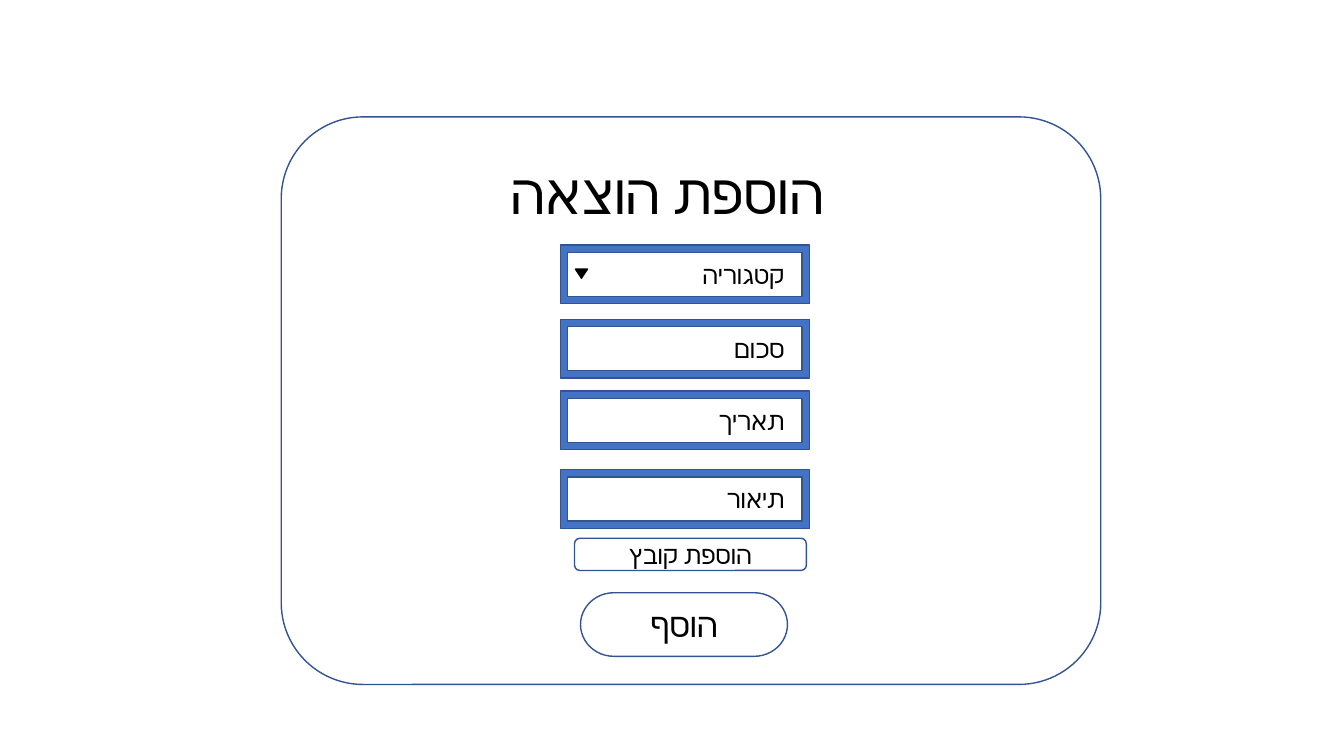
from lxml.etree import SubElement
from pptx import Presentation
from pptx.dml.color import RGBColor
from pptx.enum.shapes import MSO_SHAPE as SHAPE
from pptx.enum.text import MSO_ANCHOR as ANCHOR, MSO_AUTO_SIZE as AUTO, PP_ALIGN as ALIGN
from pptx.oxml.ns import qn
from pptx.util import Pt

FONT = "Calibri"
COLORS = {"white": "FFFFFF", "black": "000000", "frame": "4472C4", "outline": "325491"}
FIELD_LEFT, FIELD_WIDTH, FIELD_HEIGHT = 400.3, 177.8, 41.8
FIELDS = [("קטגוריה", 175), ("סכום", 228.2), ("תאריך", 279.4), ("תיאור", 335.5)]


def color(name):
    return RGBColor.from_string(COLORS[name])


def add_box(shapes, kind, left, top, width, height, fill="white", line="outline"):
    sp = shapes.add_shape(kind, Pt(left), Pt(top), Pt(width), Pt(height))
    sp.shadow.inherit = False
    sp.fill.solid()
    sp.fill.fore_color.rgb = color(fill)
    sp.line.color.rgb = color(line)
    sp.line.width = Pt(1)
    return sp


def write_hebrew(sp, text, size, align, anchor=ANCHOR.MIDDLE):
    tf = sp.text_frame
    tf.word_wrap = True
    tf.vertical_anchor = anchor
    p = tf.paragraphs[0]
    p.alignment = align
    p._p.get_or_add_pPr().set("rtl", "1")
    r = p.add_run()
    r.text = text
    r.font.size = Pt(size)
    r.font.color.rgb = color("black")
    r.font.name = FONT
    SubElement(r.font._element, qn("a:cs"), typeface=FONT)
    return p


def add_field(s, label, top):
    group = s.shapes.add_group_shape()
    add_box(group.shapes, SHAPE.FRAME, FIELD_LEFT, top, FIELD_WIDTH, FIELD_HEIGHT, "frame")
    sp = group.shapes.add_textbox(Pt(FIELD_LEFT + 10.1), Pt(top + 6.5), Pt(157), Pt(29.1))
    write_hebrew(sp, label, 18, ALIGN.RIGHT, ANCHOR.TOP)
    sp.text_frame.auto_size = AUTO.SHAPE_TO_FIT_TEXT


def place_title(s, text):
    title = s.shapes.title
    title.left, title.top, title.width, title.height = Pt(316), Pt(87.8), Pt(280), Pt(104.4)
    p = write_hebrew(title, text, 40, ALIGN.RIGHT)
    p.line_spacing = 0.9
    title.text_frame.auto_size = AUTO.NONE
    title.element.getparent().append(title.element)


def main():
    prs = Presentation()
    prs.slide_width, prs.slide_height = Pt(960), Pt(540)
    s = prs.slides.add_slide(prs.slide_layouts[5])

    card = add_box(s.shapes, SHAPE.ROUNDED_RECTANGLE, 200.9, 83.5, 585.4, 405.4)
    card.adjustments[0] = 0.144
    submit = add_box(s.shapes, SHAPE.FLOWCHART_TERMINATOR, 414.7, 423.4, 147.8, 45.4)
    write_hebrew(submit, "הוסף", 24, ALIGN.CENTER)
    for label, top in FIELDS:
        add_field(s, label, top)
    place_title(s, "הוספת הוצאה")
    arrow = add_box(s.shapes, SHAPE.FLOWCHART_EXTRACT, 411, 192.2, 8.6, 6.5, "black", "black")
    arrow.rotation = 180
    attach = add_box(s.shapes, SHAPE.ROUNDED_RECTANGLE, 410.4, 384.5, 165.6, 23)
    write_hebrew(attach, "הוספת קובץ", 18, ALIGN.CENTER)

    prs.save("out.pptx")


if __name__ == "__main__":
    main()
